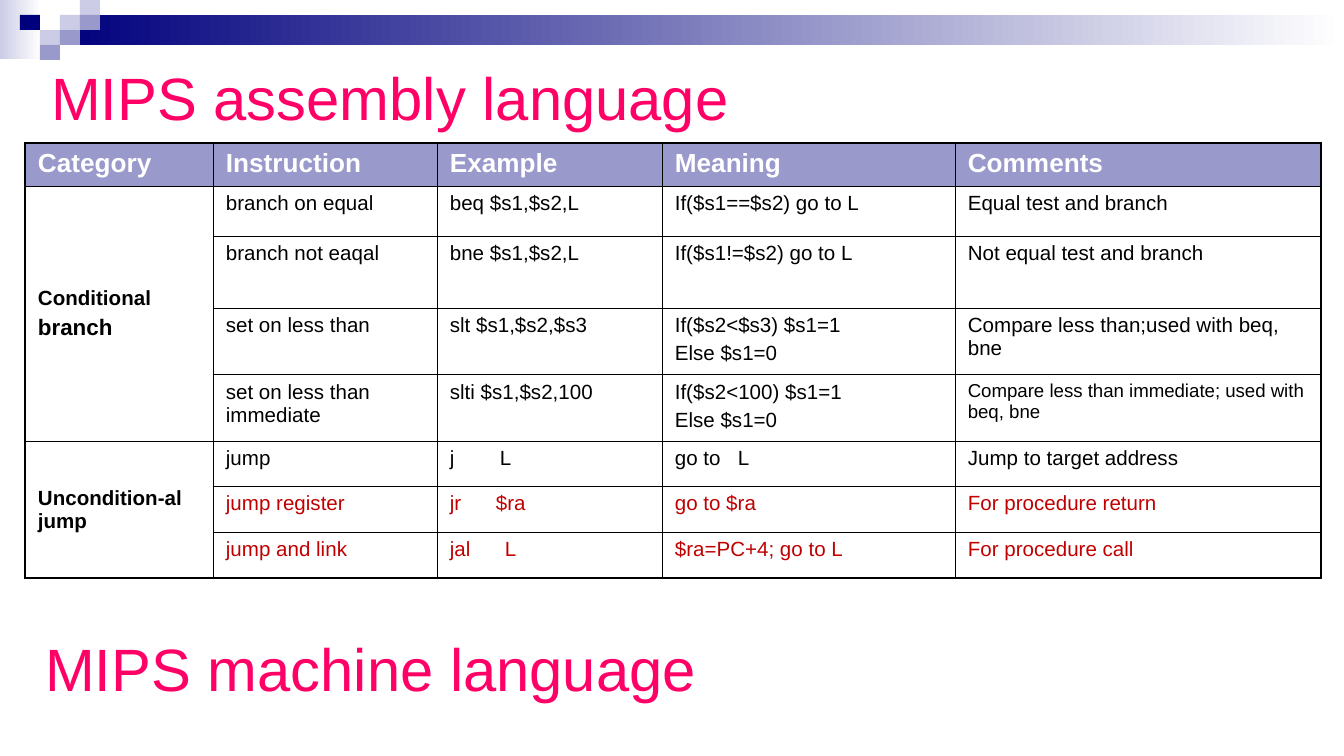
from dataclasses import dataclass

from lxml.etree import SubElement
from pptx import Presentation
from pptx.dml.color import RGBColor
from pptx.enum.shapes import MSO_SHAPE
from pptx.enum.text import MSO_ANCHOR
from pptx.oxml.ns import qn
from pptx.slide import Slide
from pptx.util import Emu, Pt

PX = 914400 / 134.4
PINK, WHITE, BLACK, RED = "FF0066", "FFFFFF", "000000", "C00000"
NAVY, PERIWINKLE, LAVENDER = "00007D", "9999CC", "CCCCE6"

GRID_X, GRID_Y = 20, 15
SQUARES = [(3, 1, LAVENDER), (4, 0, LAVENDER), (4, 1, PERIWINKLE), (2, 2, LAVENDER),
           (1, 1, NAVY), (3, 2, PERIWINKLE), (2, 3, PERIWINKLE)]

COLUMNS = [188, 224, 225, 293, 366]
ROWS = [42, 50, 72, 66, 66, 45, 46, 46]
INSTRUCTIONS = [
    ["Category", "Instruction", "Example", "Meaning", "Comments"],
    ["Conditional\nbranch", "branch on equal", "beq $s1,$s2,L",
     "If($s1==$s2) go to L", "Equal test and branch"],
    ["", "branch not eaqal", "bne $s1,$s2,L",
     "If($s1!=$s2) go to L", "Not equal test and branch"],
    ["", "set on less than", "slt $s1,$s2,$s3",
     "If($s2<$s3) $s1=1\nElse $s1=0", "Compare less than;used with beq, bne"],
    ["", "set on less than immediate", "slti $s1,$s2,100",
     "If($s2<100) $s1=1\nElse $s1=0", "Compare less than immediate; used with beq, bne"],
    ["Uncondition-al jump", "jump", "j\tL", "go to\tL", "Jump to target address"],
    ["", "jump register", "jr\t$ra", "go to $ra", "For procedure return"],
    ["", "jump and link", "jal\tL", "$ra=PC+4; go to L", "For procedure call"],
]
CATEGORIES = [(1, 4), (5, 7)]
SIZES = {(1, 0): (11, 12), (4, 4): (10,)}
TAB_STOPS = {(5, 2): 50, (5, 3): 63, (6, 2): 46, (7, 2): 55}
RED_ROWS = (6, 7)


def px(length):
    """Turn pixels into EMU."""
    return Emu(round(length * PX))


def color(value):
    """Turn a hex string into a colour."""
    return RGBColor.from_string(value)


@dataclass
class SlideBuilder:
    """Hold the style and the current slide."""
    slide: Slide
    font: str = "Arial"
    thin: float = 0.45
    thick: float = 1.08

    def rectangle(self, left, top, width, height, *colors):
        """Draw a plain rectangle, or a gradient one for two colours."""
        shape = self.slide.shapes.add_shape(
            MSO_SHAPE.RECTANGLE, px(left), px(top), px(width), px(height))
        shape.shadow.inherit = False
        shape.line.fill.background()
        if len(colors) == 1:
            shape.fill.solid()
            shape.fill.fore_color.rgb = color(colors[0])
            return
        shape.fill.gradient()
        shape.fill.gradient_angle = 0
        for stop, value in zip(shape.fill.gradient_stops, colors):
            stop.color.rgb = color(value)

    def text_run(self, paragraph, text, size, ink, bold=False):
        """Add one formatted run."""
        run = paragraph.add_run()
        run.text = text
        formats = {"name": self.font, "size": Pt(size), "bold": bold}
        for name, value in formats.items():
            setattr(run.font, name, value)
        run.font.color.rgb = color(ink)

    def heading(self, text, left, top, width, height):
        """Add a large heading."""
        box = self.slide.shapes.add_textbox(px(left), px(top), px(width), px(height))
        formats = {"word_wrap": True, "vertical_anchor": MSO_ANCHOR.MIDDLE}
        for name, value in formats.items():
            setattr(box.text_frame, name, value)
        self.text_run(box.text_frame.paragraphs[0], text, 32, PINK)

    def borders(self, cell, edges):
        """Draw the cell borders, thick on the outer edges."""
        properties = cell._tc.get_or_add_tcPr()
        for tag, outer in edges.items():
            width = Pt(self.thick if outer else self.thin)
            line = SubElement(properties, qn(f"a:{tag}"), w=str(width))
            fill = SubElement(line, qn("a:solidFill"))
            SubElement(fill, qn("a:srgbClr"), val=BLACK)

    def cell_text(self, cell, text, sizes, ink, bold, tab_stop):
        """Fill a cell with one paragraph per line."""
        frame = cell.text_frame
        for index, (line, size) in enumerate(zip(text.split("\n"), sizes)):
            paragraph = frame.add_paragraph() if index else frame.paragraphs[0]
            if index:
                paragraph.space_before = Pt(size / 4)
            if tab_stop:
                tabs = SubElement(paragraph._p.get_or_add_pPr(), qn("a:tabLst"))
                SubElement(tabs, qn("a:tab"), pos=str(px(tab_stop)), algn="l")
            self.text_run(paragraph, line, size, ink, bold)

    def table(self, left, top):
        """Add the instruction table."""
        frame = self.slide.shapes.add_table(
            len(ROWS), len(COLUMNS), px(left), px(top), px(sum(COLUMNS)), px(sum(ROWS)))
        table = frame.table
        table.first_row = table.horz_banding = False
        for column, width in zip(table.columns, COLUMNS):
            column.width = px(width)
        for row, height in zip(table.rows, ROWS):
            row.height = px(height)
        for first, last in CATEGORIES:
            table.cell(first, 0).merge(table.cell(last, 0))
        for row, texts in enumerate(INSTRUCTIONS):
            for column, text in enumerate(texts):
                self.cell(table.cell(row, column), row, column, text)

    def cell(self, cell, row, column, text):
        """Style and fill one table cell."""
        header, category = row == 0, column == 0
        formats = {"margin_left": px(13), "margin_right": px(13),
                   "margin_top": px(6), "margin_bottom": px(6),
                   "vertical_anchor": MSO_ANCHOR.MIDDLE if category and not header
                   else MSO_ANCHOR.TOP}
        for name, value in formats.items():
            setattr(cell, name, value)
        self.borders(cell, {"lnL": category, "lnR": column == len(COLUMNS) - 1,
                            "lnT": header, "lnB": row + cell.span_height == len(ROWS)})
        if header:
            cell.fill.solid()
            cell.fill.fore_color.rgb = color(PERIWINKLE)
        else:
            cell.fill.background()
        if text:
            ink = WHITE if header else RED if row in RED_ROWS else BLACK
            sizes = (14,) if header else SIZES.get((row, column), (11, 11))
            self.cell_text(cell, text, sizes, ink, header or category,
                           TAB_STOPS.get((row, column)))


def main():
    """Build and save the slide."""
    presentation = Presentation()
    presentation.slide_width, presentation.slide_height = px(1344), px(756)
    builder = SlideBuilder(presentation.slides.add_slide(presentation.slide_layouts[6]))
    builder.rectangle(0, 0, 41, 59, LAVENDER, WHITE)
    builder.rectangle(60, 15, 1284, 30, NAVY, WHITE)
    for column, row, fill in SQUARES:
        builder.rectangle(column * GRID_X, row * GRID_Y, GRID_X, GRID_Y, fill)
    builder.heading("MIPS assembly language", 38, 71, 1255, 52)
    builder.table(25, 143)
    builder.heading("MIPS machine language", 32, 633, 1199, 70)
    presentation.save("out.pptx")


if __name__ == "__main__":
    main()
